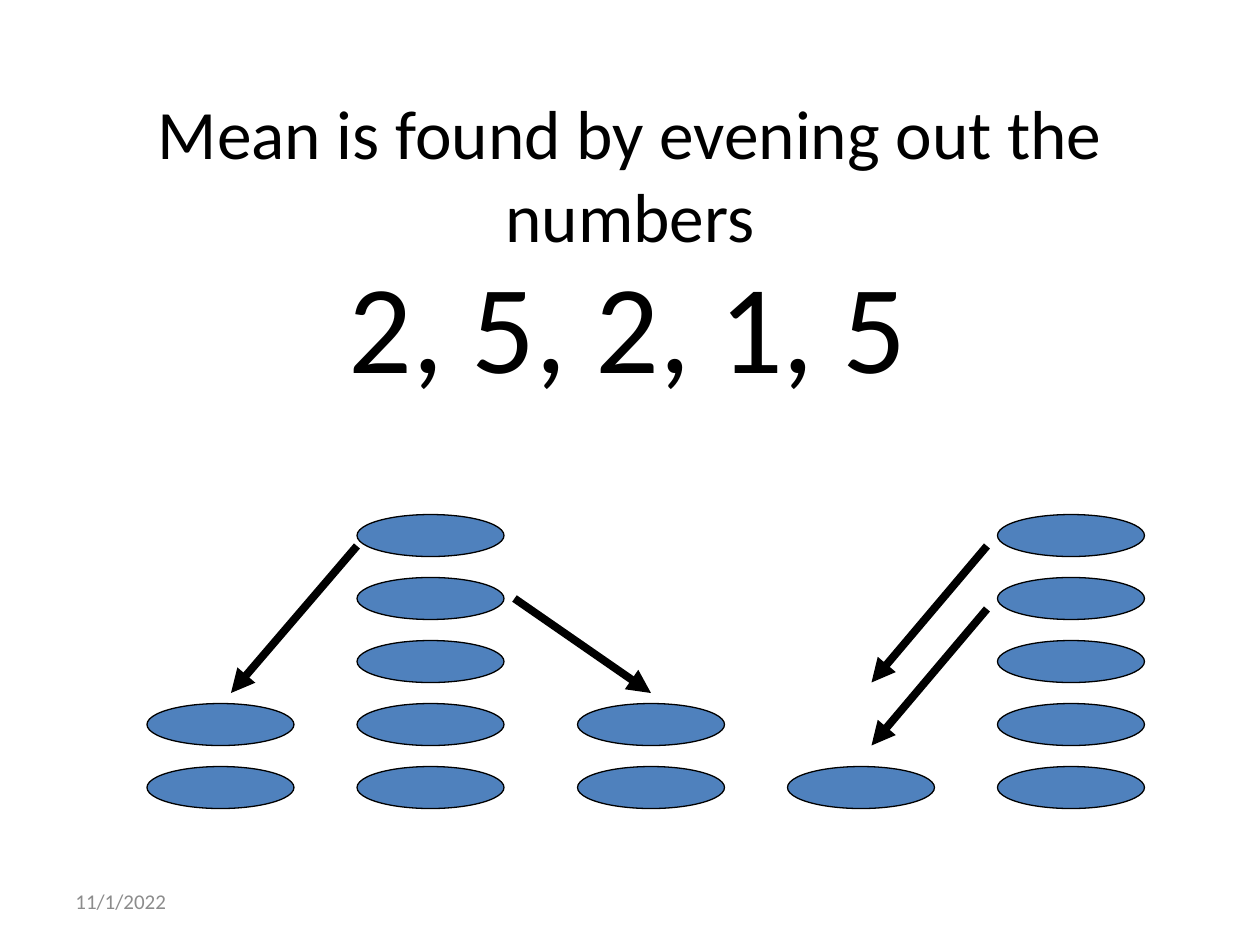
"""Build a slide showing the mean as evening out stacks of counters."""
from lxml import etree
from pptx import Presentation
from pptx.dml.color import RGBColor
from pptx.enum.shapes import MSO_CONNECTOR, MSO_SHAPE
from pptx.enum.text import MSO_ANCHOR, MSO_AUTO_SIZE, PP_ALIGN
from pptx.oxml.ns import qn
from pptx.util import Pt

OVAL, STRAIGHT = MSO_SHAPE.OVAL, MSO_CONNECTOR.STRAIGHT
TOP, MIDDLE = MSO_ANCHOR.TOP, MSO_ANCHOR.MIDDLE
LEFT, CENTER = PP_ALIGN.LEFT, PP_ALIGN.CENTER
NO_FIT = MSO_AUTO_SIZE.NONE

BLACK = RGBColor(0, 0, 0)
GRAY = RGBColor(0x8C, 0x8C, 0x8C)
BLUE = RGBColor(0x4F, 0x81, 0xBD)
FONT = "Calibri"
EMU_PER_PX = 7620

TITLE = "Mean is found by evening out the numbers"
DATE = "11/1/2022"
NUMBERS = [2, 5, 2, 1, 5]
STACK_LEFTS = [140, 340, 550, 750, 950]
COUNTER_WIDTH, COUNTER_HEIGHT = 140, 40
BOTTOM_COUNTER_TOP, COUNTER_PITCH = 730, 60
MOVES = [
    (340, 520, 220, 660),
    (490, 570, 620, 660),
    (940, 580, 830, 710),
    (940, 520, 830, 650),
]


def px(*lengths):
    return [length * EMU_PER_PX for length in lengths]


def write(box, text, size, color, align, anchor, wrap=True):
    frame = box.text_frame
    frame.text = text
    frame.auto_size = NO_FIT
    frame.word_wrap = wrap
    frame.vertical_anchor = anchor
    paragraph = frame.paragraphs[0]
    paragraph.alignment = align
    font = paragraph.runs[0].font
    font.name, font.size, font.color.rgb = FONT, Pt(size), color


def add_counter(slide, left, top):
    counter = slide.shapes.add_shape(
        OVAL, *px(left, top, COUNTER_WIDTH, COUNTER_HEIGHT))
    counter.shadow.inherit = False
    counter.fill.solid()
    counter.fill.fore_color.rgb = BLUE
    counter.line.color.rgb = BLACK
    counter.line.width = Pt(0.75)


def add_move(slide, ends):
    arrow = slide.shapes.add_connector(STRAIGHT, *px(*ends))
    arrow.line.color.rgb = BLACK
    arrow.line.width = Pt(4.5)
    properties = arrow.line._get_or_add_ln()
    etree.SubElement(properties, qn("a:tailEnd"), type="triangle")
    etree.SubElement(arrow._element.spPr, qn("a:effectLst"))


def main():
    deck = Presentation()
    deck.slide_width, deck.slide_height = px(1200, 900)
    slide = deck.slides.add_slide(deck.slide_layouts[5])

    title = slide.shapes.title
    title.left, title.top, title.width, title.height = px(90, 100, 1020, 130)
    write(title, TITLE, 39.6, BLACK, CENTER, MIDDLE)

    date = slide.shapes.add_textbox(*px(60, 834, 280, 48))
    write(date, DATE, 12, GRAY, LEFT, MIDDLE)

    number_list = slide.shapes.add_textbox(*px(320, 230, 564, 204))
    write(number_list, ", ".join(map(str, NUMBERS)), 72, BLACK, LEFT, TOP, False)

    for left, count in zip(STACK_LEFTS, NUMBERS):
        for level in range(count):
            add_counter(slide, left, BOTTOM_COUNTER_TOP - level * COUNTER_PITCH)

    for ends in MOVES:
        add_move(slide, ends)

    deck.save("out.pptx")


if __name__ == "__main__":
    main()
